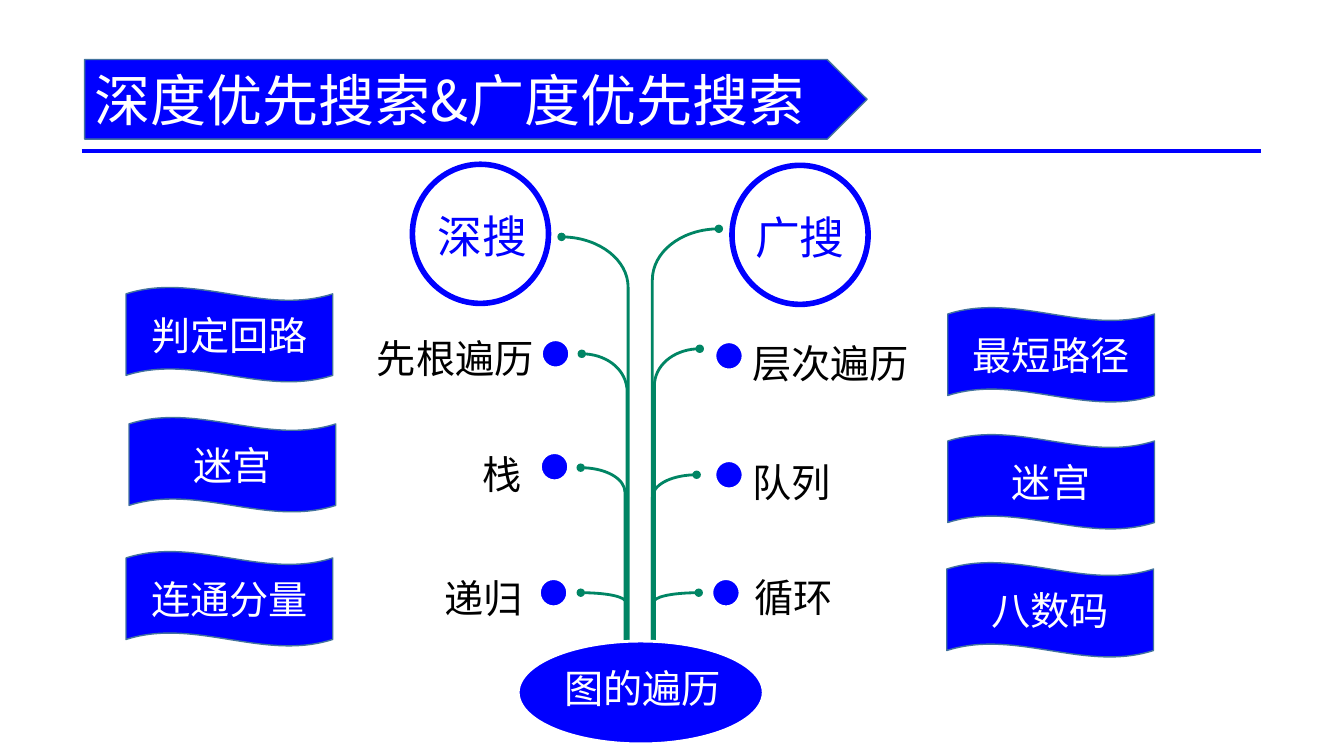
from dataclasses import dataclass
from typing import NamedTuple

from lxml.etree import SubElement
from pptx import Presentation
from pptx.dml.color import RGBColor
from pptx.enum.shapes import MSO_CONNECTOR, MSO_SHAPE
from pptx.enum.text import MSO_ANCHOR, MSO_AUTO_SIZE, PP_ALIGN
from pptx.oxml.ns import qn
from pptx.shapes.autoshape import Shape
from pptx.slide import Slide
from pptx.util import Pt

EMU_PER_PX = 9144  # 100 px to the inch


@dataclass(frozen=True)
class Theme:
    font: str = "Noto Sans CJK SC"
    blue: RGBColor = RGBColor(0x00, 0x00, 0xFF)
    green: RGBColor = RGBColor(0x00, 0x85, 0x64)
    edge: RGBColor = RGBColor(0x43, 0x73, 0x9E)
    white: RGBColor = RGBColor(0xFF, 0xFF, 0xFF)
    black: RGBColor = RGBColor(0x00, 0x00, 0x00)
    title_size: int = 40
    branch_size: int = 32
    body_size: int = 28


THEME = Theme()


class Box(NamedTuple):
    left: int
    top: int
    width: int
    height: int


class Stem(NamedTuple):
    trunk: int
    bottom: int
    bend: int
    tip_x: int
    tip_y: int


class Label(NamedTuple):
    text: str
    box: Box


class Dot(NamedTuple):
    left: int
    top: int


class Branch(NamedTuple):
    name: str
    circle: Box
    name_box: Box


DOT_SIZE = 28
FLAG_WIDTH, FLAG_HEIGHT = 205, 94
TITLE_BOX = Box(84, 59, 776, 79)

STEMS = [
    Stem(647, 676, 278, 713, 227),
    Stem(649, 671, 383, 694, 346),
    Stem(647, 676, 494, 691, 471),
    Stem(648, 676, 598, 693, 588),
    Stem(623, 676, 285, 557, 235),
    Stem(622, 676, 389, 577, 351),
    Stem(620, 684, 489, 576, 464),
    Stem(621, 676, 598, 576, 588),
]
DOTS = [Dot(709, 339), Dot(709, 457), Dot(706, 574),
        Dot(537, 337), Dot(536, 449), Dot(535, 574)]
LABELS = [
    Label("层次遍历", Box(729, 313, 190, 90)),
    Label("队列", Box(724, 431, 122, 54)),
    Label("循环", Box(726, 545, 122, 54)),
    Label("先根遍历", Box(351, 308, 201, 79)),
    Label("栈", Box(437, 423, 122, 54)),
    Label("递归", Box(419, 546, 122, 54)),
]
BRANCHES = [
    Branch("深搜", Box(409, 163, 135, 138), Box(424, 202, 115, 64)),
    Branch("广搜", Box(726, 164, 135, 138), Box(739, 203, 115, 64)),
]
FLAGS = [
    Label("判定回路", Box(125, 285, FLAG_WIDTH, FLAG_HEIGHT)),
    Label("迷宫", Box(128, 414, FLAG_WIDTH, FLAG_HEIGHT)),
    Label("连通分量", Box(125, 547, FLAG_WIDTH, FLAG_HEIGHT)),
    Label("最短路径", Box(940, 305, FLAG_WIDTH, FLAG_HEIGHT)),
    Label("迷宫", Box(940, 431, FLAG_WIDTH, FLAG_HEIGHT)),
    Label("八数码", Box(939, 558, FLAG_WIDTH, FLAG_HEIGHT)),
]


def px(length: int) -> int:
    return length * EMU_PER_PX


def emu(box: Box) -> list[int]:
    return [px(length) for length in box]


def write_text(shape: Shape, text: str, *, size: int = THEME.body_size,
               color: RGBColor = THEME.white, align: PP_ALIGN = PP_ALIGN.LEFT,
               anchor: MSO_ANCHOR = MSO_ANCHOR.TOP, spacing: float = 1.0) -> None:
    frame = shape.text_frame
    frame.word_wrap = True
    frame.auto_size = MSO_AUTO_SIZE.NONE
    frame.vertical_anchor = anchor
    paragraph = frame.paragraphs[0]
    paragraph.alignment = align
    paragraph.line_spacing = spacing
    run = paragraph.add_run()
    run.text = text
    run.font.size = Pt(size)
    run.font.color.rgb = color
    run.font.name = THEME.font
    east_asian = SubElement(run.font._element, qn("a:ea"))
    east_asian.set("typeface", THEME.font)


def add_filled(slide: Slide, kind: MSO_SHAPE, box: Box, *, fill: RGBColor = THEME.blue,
               line: RGBColor = THEME.white, line_width: int = 2) -> Shape:
    shape = slide.shapes.add_shape(kind, *emu(box))
    shape.shadow.inherit = False
    shape.fill.solid()
    shape.fill.fore_color.rgb = fill
    shape.line.color.rgb = line
    shape.line.width = Pt(line_width)
    return shape


def add_text_box(slide: Slide, text: str, box: Box, **text_format) -> None:
    write_text(slide.shapes.add_textbox(*emu(box)), text, **text_format)


def add_title(slide: Slide) -> None:
    """Lay the title placeholder over an arrow-shaped plate, with a rule below."""
    title = slide.shapes.title
    title.left, title.top, title.width, title.height = emu(TITLE_BOX)
    write_text(title, "深度优先搜索&广度优先搜索", size=THEME.title_size,
               anchor=MSO_ANCHOR.MIDDLE)
    plate = add_filled(slide, MSO_SHAPE.PENTAGON, TITLE_BOX, line=THEME.edge, line_width=1)
    title.element.addprevious(plate.element)
    rule = slide.shapes.add_connector(MSO_CONNECTOR.STRAIGHT, px(81), px(150), px(1251), px(150))
    rule.line.color.rgb = THEME.blue
    rule.line.width = Pt(3)
    SubElement(rule.element.spPr, qn("a:effectLst"))


def add_stem(slide: Slide, stem: Stem) -> None:
    """Draw a vertical trunk that bends out to a tip, with a round dot at each end."""
    control_y = round(stem.bend + 0.55 * (stem.tip_y - stem.bend))
    control_x = round(stem.trunk + 0.45 * (stem.tip_x - stem.trunk))
    builder = slide.shapes.build_freeform(stem.trunk, stem.bottom, scale=EMU_PER_PX)
    builder.add_line_segments([
        (stem.trunk, stem.bend), (stem.trunk, control_y),
        (control_x, stem.tip_y), (stem.tip_x, stem.tip_y),
    ], close=False)
    shape = builder.convert_to_shape()
    shape.shadow.inherit = False
    shape.fill.background()
    shape.line.color.rgb = THEME.green
    shape.line.width = Pt(2)

    # The last three points become one Bézier curve.
    path = next(shape.element.iter(qn("a:path")))
    curve_steps = path.findall(qn("a:lnTo"))[1:]
    curve = SubElement(path, qn("a:cubicBezTo"))
    for step in curve_steps:
        curve.append(step[0])
        path.remove(step)
    outline = shape.element.spPr.find(qn("a:ln"))
    for end in ("a:headEnd", "a:tailEnd"):
        SubElement(outline, qn(end)).set("type", "oval")


def main() -> None:
    presentation = Presentation()
    presentation.slide_width = px(1333)
    presentation.slide_height = px(750)
    slide = presentation.slides.add_slide(presentation.slide_layouts.get_by_name("Title Only"))

    add_title(slide)
    for stem in STEMS:
        add_stem(slide, stem)
    add_filled(slide, MSO_SHAPE.OVAL, Box(514, 636, 243, 102))
    add_text_box(slide, "图的遍历", Box(550, 654, 179, 57))
    for dot in DOTS:
        add_filled(slide, MSO_SHAPE.OVAL, Box(dot.left, dot.top, DOT_SIZE, DOT_SIZE))
    for label in LABELS:
        add_text_box(slide, label.text, label.box, color=THEME.black,
                     align=PP_ALIGN.CENTER, spacing=1.4)
    for branch in BRANCHES:
        add_filled(slide, MSO_SHAPE.OVAL, branch.circle, fill=THEME.white,
                   line=THEME.blue, line_width=4)
        add_text_box(slide, branch.name, branch.name_box, size=THEME.branch_size,
                     color=THEME.blue)
    for flag in FLAGS:
        wave = add_filled(slide, MSO_SHAPE.WAVE, flag.box, line=THEME.edge, line_width=1)
        wave.adjustments[0] = 0.07
        write_text(wave, flag.text, align=PP_ALIGN.CENTER, anchor=MSO_ANCHOR.MIDDLE)

    presentation.save("out.pptx")


if __name__ == "__main__":
    main()
